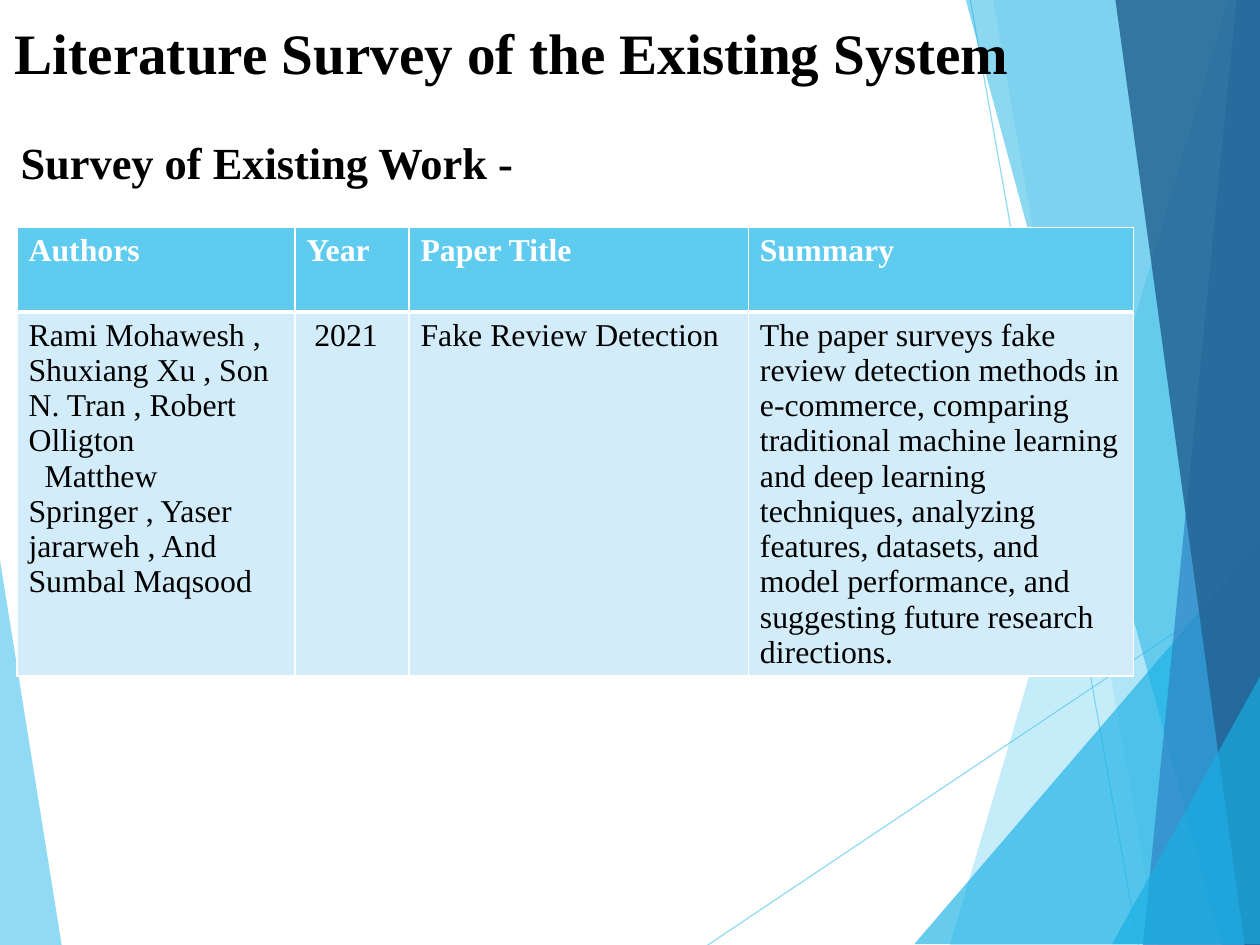
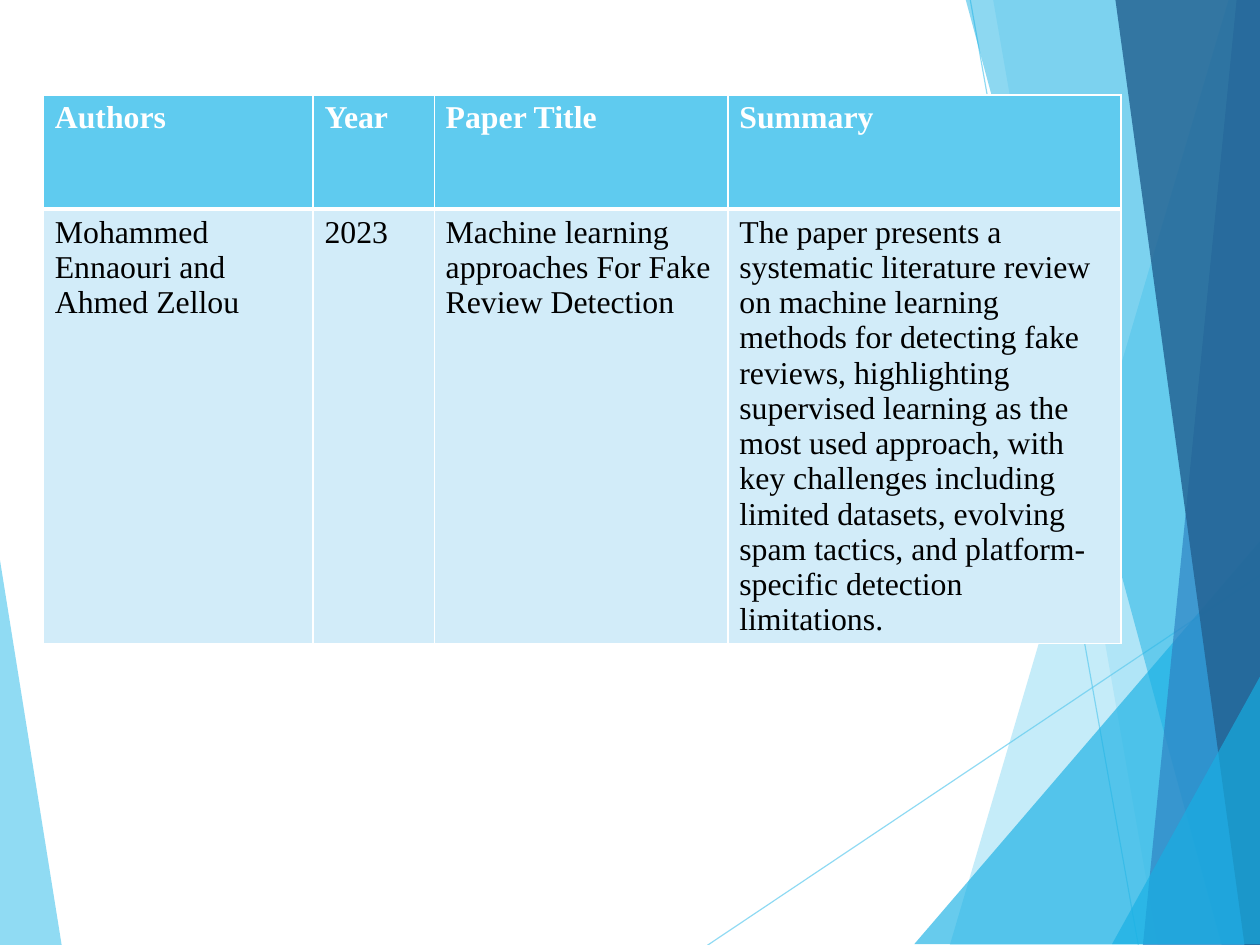
from dataclasses import dataclass

from lxml.etree import SubElement
from pptx import Presentation
from pptx.dml.color import RGBColor
from pptx.enum.shapes import MSO_CONNECTOR
from pptx.enum.text import MSO_ANCHOR, MSO_AUTO_SIZE, PP_ALIGN
from pptx.oxml.ns import qn
from pptx.util import Inches, Pt


@dataclass(frozen=True)
class Theme:
    font: str = "Times New Roman"
    title_size: int = 36
    heading_size: int = 28
    table_size: int = 20
    ink: str = "000000"
    white: str = "FFFFFF"
    sky: str = "5FCBEF"
    cyan: str = "17B0E4"
    blue: str = "2E83C3"
    navy: str = "236292"
    pale: str = "D2ECF9"
    thin: float = 1
    thick: float = 3


THEME = Theme()
# A4 landscape page in points; the facets reach its edges, in inches
PAGE_WIDTH, PAGE_HEIGHT = Pt(793.75), Pt(595.25)
RIGHT, BOTTOM = 11.03, 8.27

# Shared background: corner points, colour, opacity in percent
LEFT_WEDGE = ([(0, 4.9), (0.54, BOTTOM), (0, BOTTOM)], THEME.sky, 69)
RIGHT_FACETS = [
    ([(10.75, 0), (8.31, BOTTOM), (RIGHT, BOTTOM), (RIGHT, 0)], THEME.sky, 36),
    ([(8.69, 0), (10.13, BOTTOM), (RIGHT, BOTTOM), (RIGHT, 0)], THEME.sky, 20),
    ([(8, 8.26), (RIGHT, 4.73), (RIGHT, 8.26)], THEME.cyan, 65),
    ([(8.45, 0), (10.69, BOTTOM), (RIGHT, BOTTOM), (RIGHT, 0)], THEME.cyan, 49),
    ([(10.82, 0), (10, BOTTOM), (RIGHT, BOTTOM), (RIGHT, 0)], THEME.blue, 69),
    ([(9.76, 0), (10.89, BOTTOM), (RIGHT, BOTTOM), (RIGHT, 0)], THEME.navy, 82),
    ([(9.73, 8.26), (RIGHT, 5.91), (RIGHT, 8.26)], THEME.cyan, 65),
]
RAYS = [((6.19, BOTTOM), (RIGHT, 5.03)), ((8.49, 0), (9.96, BOTTOM))]
RAY_OPACITY = 69

# Slide content: each cell is a list of (text, first-line indent in inches)
HEADERS = ["Authors", "Year", "Paper Title", "Summary"]
SLIDES = [
    {
        "title": "Literature Survey of the Existing System",
        "heading": "Survey of Existing Work -",
        "at": (0.15, 1.99),
        "columns": [2.43, 1, 2.97, 3.37],
        "rows": [0.74, 3.18],
        "paper": [
            [("Rami Mohawesh , Shuxiang Xu , Son N. Tran , Robert Olligton", 0),
             ("Matthew Springer , Yaser jararweh , And Sumbal Maqsood", 0.14)],
            [("2021", 0.07)],
            [("Fake Review Detection", 0)],
            [("The paper surveys fake review detection methods in e-commerce, "
              "comparing traditional machine learning and deep learning techniques, "
              "analyzing features, datasets, and model performance, and suggesting "
              "future research directions.", 0)],
        ],
    },
    {
        "at": (0.38, 0.83),
        "columns": [2.36, 1.06, 2.57, 3.44],
        "rows": [1, 3.8],
        "paper": [
            [("Mohammed Ennaouri and Ahmed Zellou", 0)],
            [("2023", 0)],
            [("Machine learning approaches For Fake Review Detection", 0)],
            [("The paper presents a systematic literature review on machine learning "
              "methods for detecting fake reviews, highlighting supervised learning "
              "as the most used approach, with key challenges including limited "
              "datasets, evolving spam tactics, and platform-specific "
              "detection limitations.", 0)],
        ],
    },
]


def set_font(para, size, color, bold):
    font = para.font
    font.name, font.size, font.bold = THEME.font, Pt(size), bold
    font.color.rgb = RGBColor.from_string(color)


def set_opacity(shape, percent):
    for color in shape.element.spPr.iter(qn("a:srgbClr")):
        SubElement(color, qn("a:alpha")).set("val", str(percent * 1000))


def add_facet(page, corners, color, opacity):
    points = [(Inches(x), Inches(y)) for x, y in corners]
    builder = page.shapes.build_freeform(*points[0])
    builder.add_line_segments(points[1:], close=True)
    facet = builder.convert_to_shape()
    facet.shadow.inherit = False
    facet.fill.solid()
    facet.fill.fore_color.rgb = RGBColor.from_string(color)
    facet.line.fill.background()
    set_opacity(facet, opacity)
    return facet


def add_ray(page, start, end):
    ends = [Inches(value) for value in (*start, *end)]
    ray = page.shapes.add_connector(MSO_CONNECTOR.STRAIGHT, *ends)
    ray.line.width = Pt(0.75)
    ray.line.color.rgb = RGBColor.from_string(THEME.sky)
    set_opacity(ray, RAY_OPACITY)
    SubElement(ray.element.spPr, qn("a:effectLst"))
    return ray


def add_background(deck, page):
    """Draw the facets on a page, then move them to the slide master."""
    parts = [add_facet(page, *LEFT_WEDGE)]
    parts += [add_ray(page, *ray) for ray in RAYS]
    parts += [add_facet(page, *facet) for facet in RIGHT_FACETS]
    for number, part in enumerate(parts, start=100):
        part.element.xpath("./*/p:cNvPr")[0].set("id", str(number))
        deck.slide_master.shapes.element.append(part.element)


def set_text_box(box, area, text, size, margin_left):
    box.left, box.top, box.width, box.height = (Inches(value) for value in area)
    frame = box.text_frame
    frame.text = text
    frame.word_wrap = True
    frame.auto_size = MSO_AUTO_SIZE.NONE
    frame.margin_left = Inches(margin_left)
    frame.margin_right = frame.margin_bottom = 0
    frame.margin_top = Inches(0.03)
    para = frame.paragraphs[0]
    para.alignment = PP_ALIGN.LEFT
    set_font(para, size, THEME.ink, True)
    return frame


def set_borders(cell, widths):
    properties = cell._tc.get_or_add_tcPr()
    for side, width in widths.items():
        line = SubElement(properties, qn(f"a:ln{side}"), w=str(Pt(width)))
        fill = SubElement(line, qn("a:solidFill"))
        SubElement(fill, qn("a:srgbClr"), val=THEME.white)


def fill_cell(cell, lines, is_header):
    edge = THEME.thick if is_header else THEME.thin
    top = THEME.thin if is_header else THEME.thick
    set_borders(cell, {"L": THEME.thin, "R": THEME.thin, "T": top, "B": edge})
    cell.fill.solid()
    cell.fill.fore_color.rgb = RGBColor.from_string(THEME.sky if is_header else THEME.pale)
    cell.text = "\n".join(text for text, indent in lines)
    for para, (text, indent) in zip(cell.text_frame.paragraphs, lines):
        set_font(para, THEME.table_size, THEME.white if is_header else THEME.ink, is_header)
        if indent:
            properties = para._p.get_or_add_pPr()
            properties.set("marL", "0")
            properties.set("indent", str(Inches(indent)))


def add_survey_table(page, content):
    columns, rows = content["columns"], content["rows"]
    area = (*content["at"], sum(columns), sum(rows))
    frame = page.shapes.add_table(len(rows), len(columns), *(Inches(value) for value in area))
    table = frame.table
    for column, width in zip(table.columns, columns):
        column.width = Inches(width)
    for row, height in zip(table.rows, rows):
        row.height = Inches(height)
    header = [[(text, 0)] for text in HEADERS]
    for row_index, cells in enumerate([header, content["paper"]]):
        for column_index, lines in enumerate(cells):
            fill_cell(table.cell(row_index, column_index), lines, row_index == 0)


def main():
    deck = Presentation()
    deck.slide_width, deck.slide_height = PAGE_WIDTH, PAGE_HEIGHT
    title_only, blank = deck.slide_layouts[5], deck.slide_layouts[6]

    for index, content in enumerate(SLIDES):
        page = deck.slides.add_slide(title_only if "title" in content else blank)
        if index == 0:
            add_background(deck, page)
        # Title and heading
        if "title" in content:
            frame = set_text_box(page.shapes.title, (0, 0, 9.92, 0.94),
                                 content["title"], THEME.title_size, 0.13)
            frame.vertical_anchor = MSO_ANCHOR.MIDDLE
            frame.paragraphs[0].line_spacing = 0.93
            heading = page.shapes.add_textbox(0, 0, 0, 0)
            set_text_box(heading, (0.06, 1.15, 9, 0.6),
                         content["heading"], THEME.heading_size, 0.12)
        # Survey table
        add_survey_table(page, content)

    deck.save("out.pptx")


if __name__ == "__main__":
    main()
